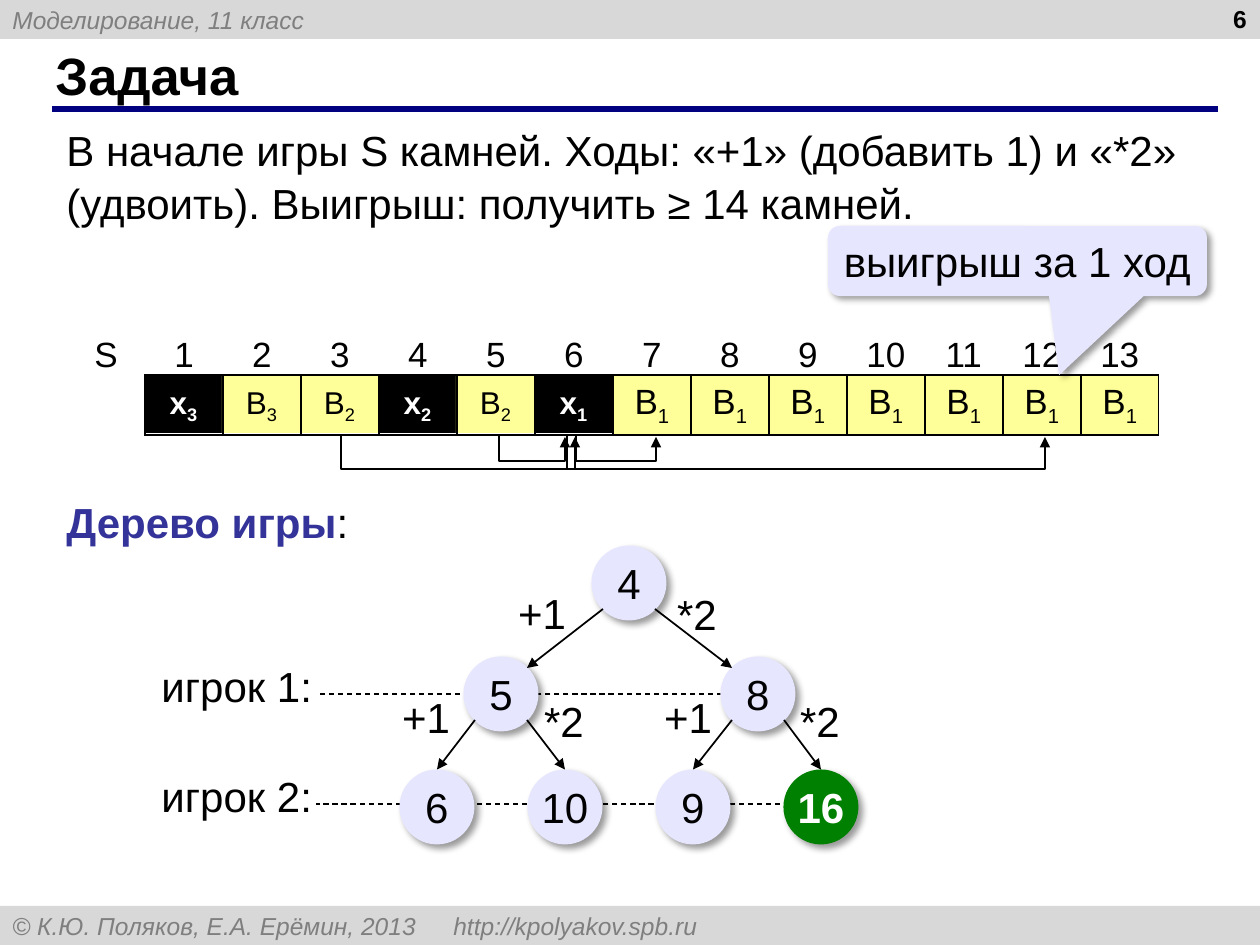
import pptx
import pptx.util
import pptx.dml.color
import pptx.enum.dml
import pptx.enum.shapes
import pptx.enum.text
import pptx.oxml
import pptx.oxml.ns

BLACK, WHITE, GREY, BAR = "000000", "FFFFFF", "7F7F7F", "D8D8D8"
NAVY, BLUE, LILAC, YELLOW, GREEN = "000080", "333399", "E6E6FF", "FFFF99", "008000"
SCALE = 914400 / 126
NS = 'xmlns:a="http://schemas.openxmlformats.org/drawingml/2006/main"'
SHAPE = pptx.enum.shapes.MSO_SHAPE
ALIGN = pptx.enum.text.PP_ALIGN
ANCHOR = pptx.enum.text.MSO_ANCHOR

BARS = [(0, "Моделирование, 11 класс"),
        (906, "© К.Ю. Поляков, Е.А. Ерёмин, 2013 \thttp://kpolyakov.spb.ru")]
INTRO = ("В начале игры S камней. Ходы: «+1» (добавить 1) и «*2» (удвоить). "
         "Выигрыш: получить ≥ 14 камней.")
HEADS = ["S"] + [str(n) for n in range(1, 14)]
POSITIONS = [("x", "3"), ("В", "3"), ("В", "2"), ("x", "2"), ("В", "2"), ("x", "1")]
TABLE_X, TABLE_Y, COL_W, ROW_H = 67, 315, 78, 60
MOVES = [(576, 461, 656), (567, 469, 1045), (499, 461, 565), (341, 469, 575)]
NODE_D, DIAGONAL = 75, 26
NODES = {"4": (629, 583), "5": (501, 694), "8": (758, 694),
         "6": (437, 807), "10": (565, 807), "9": (693, 807), "16": (821, 807)}
BRANCHES = [("4", "5", -1), ("4", "8", 1), ("5", "6", -1),
            ("5", "10", 1), ("8", "9", -1), ("8", "16", 1)]
BRANCH_LABELS = [("+1", 542, 613), ("*2", 697, 614), ("+1", 426, 717),
                 ("*2", 564, 721), ("+1", 688, 717), ("*2", 820, 721)]
PLAYERS = [("игрок 1:", 661, 694, 731), ("игрок 2:", 771, 804, 789)]

prs = pptx.Presentation()


def px(n):
    return pptx.util.Emu(round(n * SCALE))


prs.slide_width, prs.slide_height = px(1260), px(945)
s = prs.slides.add_slide(prs.slide_layouts[6])


def rgb(value):
    return pptx.dml.color.RGBColor.from_string(value)


def write(tf, text, size=24, color=BLACK, bold=False, italic=False,
          align=ALIGN.LEFT, sub=False, spacing=None):
    p = tf.paragraphs[0]
    p.alignment = align
    if spacing:
        p.line_spacing = spacing
    r = p.add_run()
    r.text = text
    f = r.font
    f.name, f.size, f.bold, f.italic = "Arial", pptx.util.Pt(size), bold, italic
    f.color.rgb = rgb(color)
    if sub:
        r._r.get_or_add_rPr().set("baseline", "-25000")


def add_text(x, y, w, h, text, inset=True, anchor=ANCHOR.TOP, **fmt):
    tf = s.shapes.add_textbox(*map(px, (x, y, w, h))).text_frame
    tf.word_wrap = True
    tf.vertical_anchor = anchor
    if not inset:
        tf.margin_left = tf.margin_right = tf.margin_top = tf.margin_bottom = 0
    write(tf, text, **fmt)
    return tf


def add_shape(kind, x, y, w, h, fill=None, shadow=False, inset=True, wrap=True):
    sp = s.shapes.add_shape(kind, *map(px, (x, y, w, h)))
    sp.shadow.inherit = False
    sp.line.fill.background()
    if fill:
        sp.fill.solid()
        sp.fill.fore_color.rgb = rgb(fill)
    else:
        sp.fill.background()
    if shadow:
        effects = sp.element.spPr.find(pptx.oxml.ns.qn("a:effectLst"))
        effects.append(pptx.oxml.parse_xml(
            f'<a:outerShdw {NS} blurRad="50800" dist="38100" dir="2700000" algn="tl" '
            f'rotWithShape="0"><a:srgbClr val="{BLACK}"><a:alpha val="40000"/>'
            '</a:srgbClr></a:outerShdw>'))
    tf = sp.text_frame
    tf.word_wrap = wrap
    tf.vertical_anchor = ANCHOR.MIDDLE
    if not inset:
        tf.margin_left = tf.margin_right = tf.margin_top = tf.margin_bottom = 0
    return sp


def style_line(sp, color=BLACK, width=1, dash=False, arrow=False):
    sp.line.color.rgb = rgb(color)
    sp.line.width = pptx.util.Pt(width)
    if dash:
        sp.line.dash_style = pptx.enum.dml.MSO_LINE.DASH
    spPr = sp.element.spPr
    if arrow:
        spPr.find(pptx.oxml.ns.qn("a:ln")).append(
            pptx.oxml.parse_xml(f'<a:tailEnd {NS} type="triangle"/>'))
    if spPr.find(pptx.oxml.ns.qn("a:effectLst")) is None:
        spPr.append(pptx.oxml.parse_xml(f"<a:effectLst {NS}/>"))


def add_line(x1, y1, x2, y2, **style):
    c = s.shapes.add_connector(pptx.enum.shapes.MSO_CONNECTOR.STRAIGHT,
                               *map(px, (x1, y1, x2, y2)))
    style_line(c, **style)
    return c


def set_borders(cell, shown):
    tcPr = cell._tc.get_or_add_tcPr()
    for i, side in enumerate("LRTB"):
        paint = (f'<a:solidFill><a:srgbClr val="{BLACK}"/></a:solidFill>'
                 if side in shown else "<a:noFill/>")
        tcPr.insert(i, pptx.oxml.parse_xml(f'<a:ln{side} {NS} w="12700">{paint}</a:ln{side}>'))


for y, text in BARS:
    bar = add_shape(SHAPE.RECTANGLE, 0, y, 1260, 39, BAR)
    write(bar.text_frame, text, size=14, color=GREY, italic=True)
add_line(52, 109, 1218, 109, color=NAVY, width=3)

for i, (letter, index) in enumerate(POSITIONS):
    losing = letter == "x"
    box = add_shape(SHAPE.RECTANGLE, TABLE_X + COL_W * (i + 1) - 1, TABLE_Y + ROW_H,
                    COL_W + 1, ROW_H - 2, BLACK if losing else YELLOW)
    for part in (letter, index):
        write(box.text_frame, part, size=18, color=WHITE if losing else BLACK,
              bold=losing, align=ALIGN.CENTER, sub=part == index)

add_text(43, 42, 1154, 66, "Задача", size=30, bold=True, anchor=ANCHOR.MIDDLE)
add_text(965, -2, 294, 65, "6", size=14, bold=True, align=ALIGN.RIGHT)
add_text(54, 115, 1163, 115, INTRO, spacing=1.06)

table = s.shapes.add_table(2, len(HEADS), px(TABLE_X), px(TABLE_Y),
                           px(COL_W * len(HEADS)), px(2 * ROW_H)).table
table.first_row = table.horz_banding = False
for row in table.rows:
    row.height = px(ROW_H)
for i, head in enumerate(HEADS):
    table.columns[i].width = px(COL_W)
    top, low = table.cell(0, i), table.cell(1, i)
    for cell, anchor in ((top, ANCHOR.BOTTOM), (low, ANCHOR.MIDDLE)):
        cell.margin_top = cell.margin_bottom = 0
        cell.vertical_anchor = anchor
        cell.fill.background()
    write(top.text_frame, head, size=20, align=ALIGN.CENTER)
    if i > len(POSITIONS):
        low.fill.solid()
        low.fill.fore_color.rgb = rgb(YELLOW)
        write(low.text_frame, "В", size=20, align=ALIGN.CENTER)
        write(low.text_frame, "1", size=20, align=ALIGN.CENTER, sub=True)
    set_borders(top, "B" if i else "")
    set_borders(low, "LRTB" if i else "R")

callout = add_shape(SHAPE.ROUNDED_RECTANGULAR_CALLOUT, 828, 226, 379, 70, LILAC,
                    shadow=True, wrap=False)
for i, value in enumerate((0.11, 1.63, 0.17)):
    callout.adjustments[i] = value
write(callout.text_frame, "выигрыш за 1 ход")

for start, depth, end in MOVES:
    fb = s.shapes.build_freeform(start, 435, scale=SCALE)
    fb.add_line_segments([(start, depth), (end, depth), (end, 437)], close=False)
    move = fb.convert_to_shape()
    move.shadow.inherit = False
    move.fill.background()
    style_line(move, arrow=True)

tf = add_text(54, 490, 321, 64, "Дерево игры", color=BLUE, bold=True)
write(tf, ":")

for text, y, line_y, line_end in PLAYERS:
    add_line(line_end, line_y, 316, line_y, width=0.75, dash=True)
    add_text(125, y, 187, 63, text, inset=False, align=ALIGN.RIGHT)

circles = {}
for text, (x, y) in NODES.items():
    won = text == "16"
    circles[text] = add_shape(SHAPE.OVAL, x - NODE_D / 2, y - NODE_D / 2, NODE_D, NODE_D,
                              GREEN if won else LILAC, shadow=True, inset=False, wrap=False)
    write(circles[text].text_frame, text, color=WHITE if won else BLACK, bold=won,
          align=ALIGN.CENTER)

for parent, child, side in BRANCHES:
    (x1, y1), (x2, y2) = NODES[parent], NODES[child]
    c = add_line(x1 + side * DIAGONAL, y1 + DIAGONAL,
                 x2 - side * DIAGONAL, y2 - DIAGONAL, arrow=True)
    if parent != "4":
        c.end_connect(circles[child], 0)

for text, x, y in BRANCH_LABELS:
    label = add_shape(SHAPE.OVAL, x - 40, y - 37, 80, 74, inset=False, wrap=False)
    write(label.text_frame, text, align=ALIGN.CENTER)

prs.save("out.pptx")
